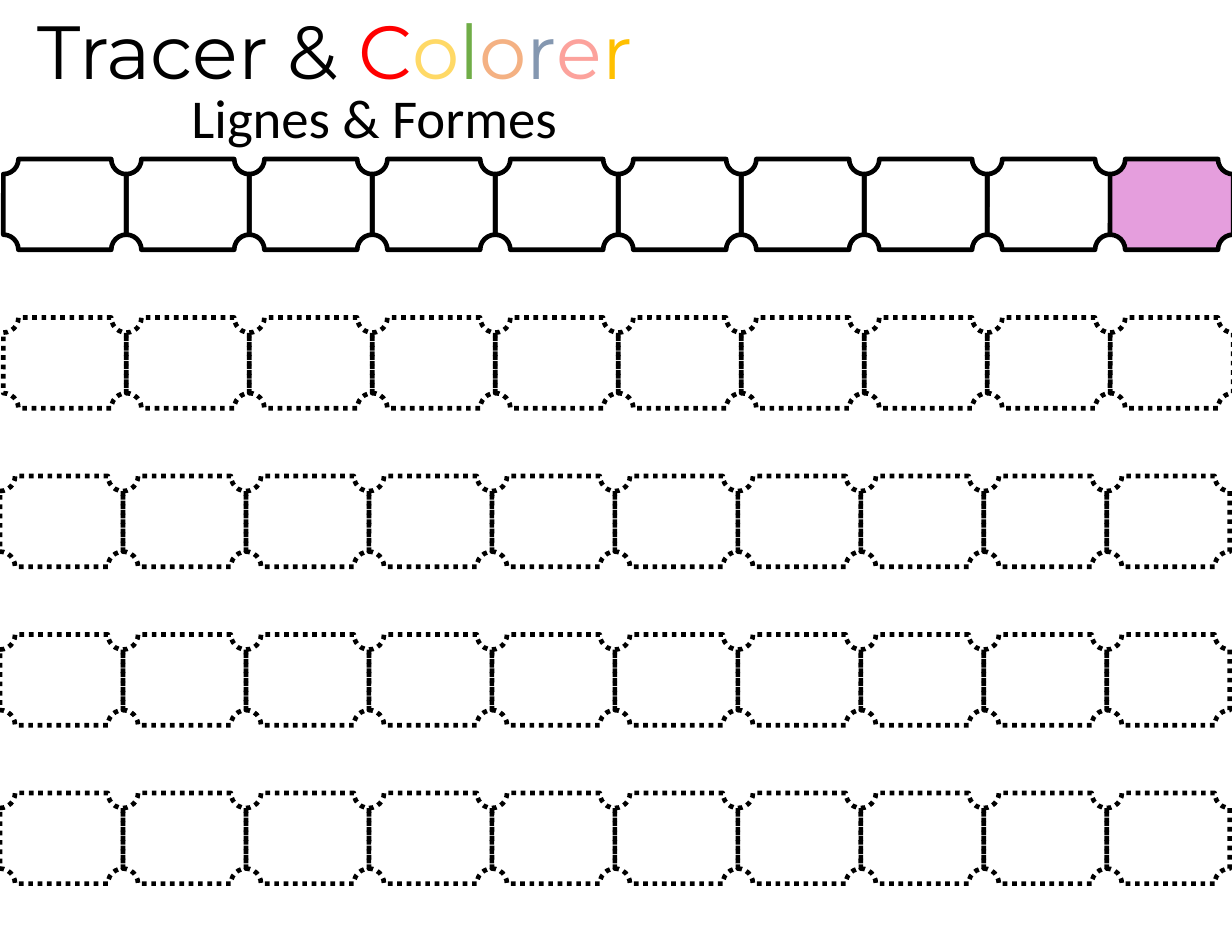
"""Tracing worksheet: a model row of plaques above dotted rows to trace and colour."""
from dataclasses import dataclass

from pptx import Presentation
from pptx import util as u
from pptx.dml.color import RGBColor
from pptx.enum import dml, shapes, text


@dataclass(frozen=True)
class Theme:
    ink: str = "000000"
    sample: str = "E59EDD"
    rainbow: tuple = ("FF0000", "FFD966", "70AD47", "F4B183", "8497B0", "FCA29C", "FFC000")
    title_font: str = "Montserrat"
    title_size: float = 48.4
    subtitle_font: str = "Calibri"
    subtitle_size: float = 35.2
    outline: float = 3


class Worksheet:
    def __init__(self, prs, theme):
        self.theme = theme
        self.s = prs.slides.add_slide(prs.slide_layouts[6])

    def textbox(self, box, runs, font, size, align):
        tf = self.s.shapes.add_textbox(*map(u.Inches, box)).text_frame
        tf.word_wrap = True
        tf.auto_size = text.MSO_AUTO_SIZE.SHAPE_TO_FIT_TEXT
        p = tf.paragraphs[0]
        p.alignment = align
        for words, color in runs:
            r = p.add_run()
            r.text = words
            for name, value in {"name": font, "size": u.Pt(size)}.items():
                setattr(r.font, name, value)
            r.font.color.rgb = RGBColor.from_string(color)

    def plaque(self, group, box, fill=None, dash=None):
        sp = group.shapes.add_shape(shapes.MSO_SHAPE.PLAQUE, *map(u.Inches, box))
        sp.shadow.inherit = False
        if fill:
            sp.fill.solid()
            sp.fill.fore_color.rgb = RGBColor.from_string(fill)
        else:
            sp.fill.background()
        sp.line.color.rgb = RGBColor.from_string(self.theme.ink)
        for name, value in {"width": u.Pt(self.theme.outline), "dash_style": dash}.items():
            setattr(sp.line, name, value)

    def row(self, left, top, width, height, count, last_fill=None, dash=None):
        group = self.s.shapes.add_group_shape()
        cell = width / count
        for i in range(count):
            fill = last_fill if i == count - 1 else None
            self.plaque(group, (left + i * cell, top, cell, height), fill, dash)


def main():
    theme = Theme()
    prs = Presentation()
    prs.slide_width, prs.slide_height = u.Inches(11), u.Inches(8.5)
    sheet = Worksheet(prs, theme)

    first_top, last_top = 1.42, 7.08
    lefts = (0.03, 0.03, 0, 0, 0)
    pitch = (last_top - first_top) / (len(lefts) - 1)
    for i, left in enumerate(lefts):
        style = {"dash": dml.MSO_LINE.ROUND_DOT} if i else {"last_fill": theme.sample}
        sheet.row(left, first_top + i * pitch, 10.98, 0.81, 10, **style)

    sheet.textbox((0.78, 0.7, 5.12, 0.69), [("Lignes & Formes", theme.ink)],
                  theme.subtitle_font, theme.subtitle_size, text.PP_ALIGN.CENTER)
    sheet.textbox((0.24, -0.01, 6.42, 0.92),
                  [("Tracer & ", theme.ink), *zip("Colorer", theme.rainbow)],
                  theme.title_font, theme.title_size, text.PP_ALIGN.LEFT)
    prs.save("out.pptx")


if __name__ == "__main__":
    main()
